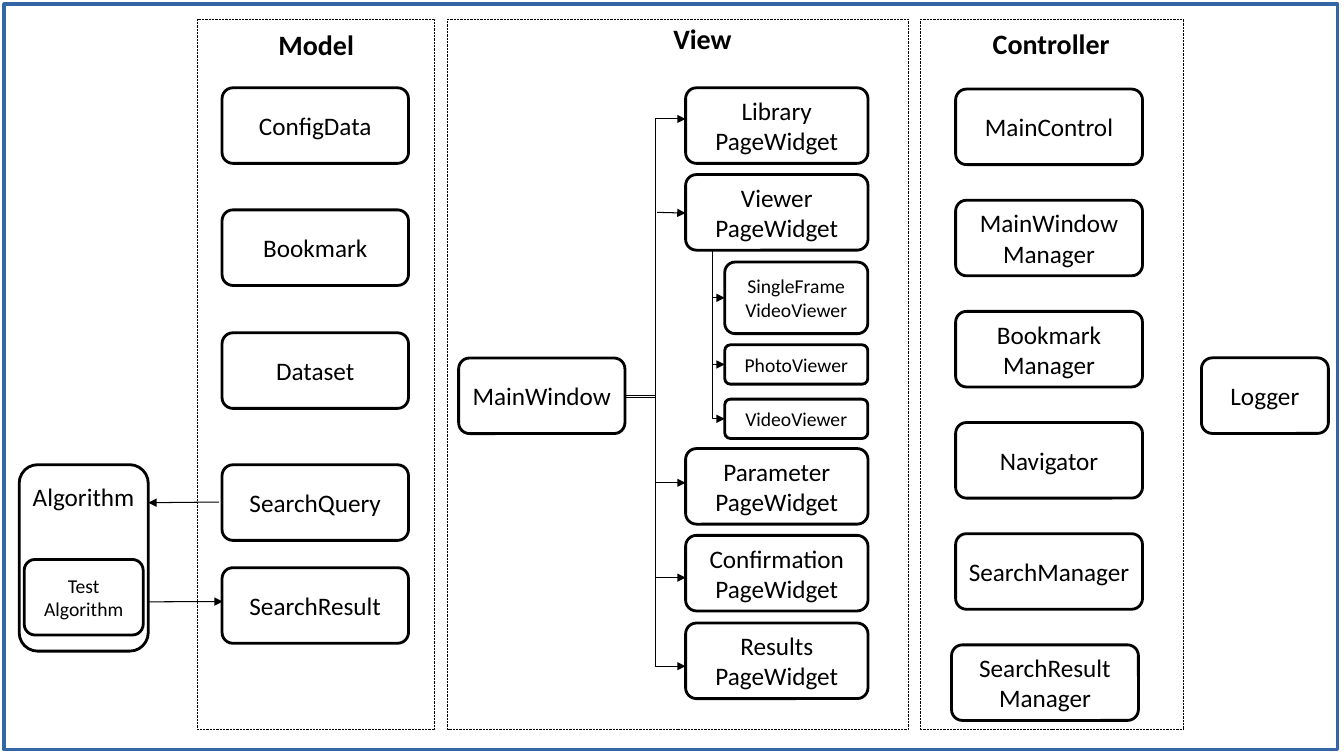
from pptx import Presentation
from pptx import util as u
from pptx.dml.color import RGBColor
from pptx.enum import dml, shapes, text
from pptx.oxml.ns import qn
from lxml import etree

BLACK = RGBColor(0x00, 0x00, 0x00)
WHITE = RGBColor(0xFF, 0xFF, 0xFF)
BLUE = RGBColor(0x34, 0x65, 0xA4)
FONT = "Calibri"
BOX_H = 54
STRAIGHT = shapes.MSO_CONNECTOR.STRAIGHT
ELBOW = shapes.MSO_CONNECTOR.ELBOW


def write(tf, lines, size, bold=False, align=text.PP_ALIGN.CENTER):
    """Write one paragraph per line into a text frame."""
    tf.word_wrap = True
    for i, line in enumerate(lines):
        p = tf.add_paragraph() if i else tf.paragraphs[0]
        p.alignment = align
        r = p.add_run()
        r.text = line
        r.font.name, r.font.size, r.font.bold = FONT, u.Pt(size), bold
        r.font.color.rgb = BLACK


def add_label(s, box, label, size, **style):
    """Add a plain text box."""
    sp = s.shapes.add_textbox(*map(u.Pt, box))
    write(sp.text_frame, [label], size, **style)


def add_frame(s, box, color, width, dash=None):
    """Add an unfilled rectangle."""
    sp = s.shapes.add_shape(shapes.MSO_SHAPE.RECTANGLE, *map(u.Pt, box))
    sp.shadow.inherit = False
    sp.fill.background()
    sp.line.color.rgb, sp.line.width = color, u.Pt(width)
    if dash:
        sp.line.dash_style = dash


def add_box(s, box, label="", size=18):
    """Add a rounded class box with a centred label."""
    sp = s.shapes.add_shape(shapes.MSO_SHAPE.ROUNDED_RECTANGLE, *map(u.Pt, box))
    sp.adjustments[0] = 0.144
    sp.shadow.inherit = False
    sp.fill.solid()
    sp.fill.fore_color.rgb = WHITE
    sp.line.color.rgb, sp.line.width = BLACK, u.Pt(2)
    if label:
        sp.text_frame.vertical_anchor = text.MSO_ANCHOR.MIDDLE
        write(sp.text_frame, label.split("\n"), size)


def add_arrow(s, kind, *ends):
    """Add a thin connector with a triangular head at its end."""
    sp = s.shapes.add_connector(kind, *map(u.Pt, ends))
    sp.line.color.rgb, sp.line.width = BLACK, u.Pt(0.75)
    etree.SubElement(sp.line._get_or_add_ln(), qn("a:tailEnd"), type="triangle")
    etree.SubElement(sp._element.spPr, qn("a:effectLst"))


def add_panel(s, box, title, dx, dy, title_w):
    """Add a dotted panel with its bold heading."""
    x, y, w, h = box
    add_frame(s, box, BLACK, 0.5, dml.MSO_LINE.ROUND_DOT)
    add_label(s, (x + dx, y + dy, title_w, 31), title, 20,
              bold=True, align=text.PP_ALIGN.LEFT)


def add_model(s, box):
    """Build the Model panel."""
    x, y, w, h = box
    add_panel(s, box, "Model", 50.4, 2.2, 87)
    for label, dy in (("ConfigData", 49), ("Bookmark", 136.2), ("Dataset", 224),
                      ("SearchQuery", 318.3), ("SearchResult", 391.8)):
        add_box(s, (x + 17.3, y + dy, 133.2, BOX_H), label)


def add_view(s, box):
    """Build the View panel with its pages and viewers."""
    x, y, w, h = box
    add_panel(s, box, "View", 154.1, -2.2, 87)
    add_box(s, (x + 7.9, y + 242, 118.8, BOX_H), "MainWindow")
    page_x, viewer_x = x + 170, x + 198
    pages = (("Library", 49, 71.3, 268.6), ("Viewer", 111, 138.5, None),
             ("Parameter", 306.7, 331.2, 268.6), ("Confirmation", 368.7, 398.9, 268.6),
             ("Results", 431.3, 462.2, 270))
    for label, dy, end_y, start_y in pages:
        add_box(s, (page_x, y + dy, 130.3, BOX_H), label + "\nPageWidget")
        if start_y is None:
            add_arrow(s, STRAIGHT, x + 149.7, y + 138, page_x, y + end_y)
        else:
            add_arrow(s, ELBOW, x + 127.4, y + start_y, page_x, y + end_y)
    for label, dy, box_h in (("SingleFrame\nVideoViewer", 173.5, 51.1),
                             ("PhotoViewer", 232.6, 28.1), ("VideoViewer", 271.4, 28.1)):
        add_box(s, (viewer_x, y + dy, 102.2, box_h), label, 14)
        add_arrow(s, ELBOW, x + 180.6, y + 165, viewer_x, y + dy + box_h / 2)


def add_controller(s, box):
    """Build the Controller panel with evenly stepped boxes."""
    x, y, w, h = box
    add_panel(s, box, "Controller", 44.6, 1.4, 106)
    labels = ("MainControl", "MainWindow\nManager", "Bookmark\nManager",
              "Navigator", "SearchManager", "SearchResult\nManager")
    for i, label in enumerate(labels):
        dx = 22.3 if label.startswith("SearchResult") else 25.2
        add_box(s, (x + dx, y + 49.9 + 79.4 * i, 133.5, BOX_H), label)


def add_algorithm(s, box):
    """Build the Algorithm box and its links to the Model panel."""
    x, y, w, h = box
    add_box(s, box)
    add_label(s, (x - 6.5, y + 8, 105, 51), "Algorithm", 18)
    add_box(s, (x + 3.6, y + 67.7, 85, BOX_H), "Test\nAlgorithm", 14)
    add_arrow(s, STRAIGHT, x + 142.6, y + 26.7, x + w, y + 27.2)
    add_arrow(s, STRAIGHT, x + w, y + 98, x + 145.4, y + 97.8)


def main():
    """Build and save the architecture slide."""
    prs = Presentation()
    prs.slide_width, prs.slide_height = u.Pt(960), u.Pt(540)
    s = prs.slides.add_slide(prs.slide_layouts[6])
    add_algorithm(s, (13.7, 331.9, 92.2, 133.2))
    add_model(s, (141.3, 13.7, 169.2, 507.6))
    add_view(s, (319.7, 13.7, 329, 507.6))
    add_controller(s, (657.4, 13.7, 187.9, 507.6))
    add_box(s, (858.2, 255.6, 90.7, BOX_H), "Logger")
    add_frame(s, (2.9, 2.9, 952.6, 532.8), BLUE, 2.3)
    prs.save("out.pptx")


if __name__ == "__main__":
    main()
